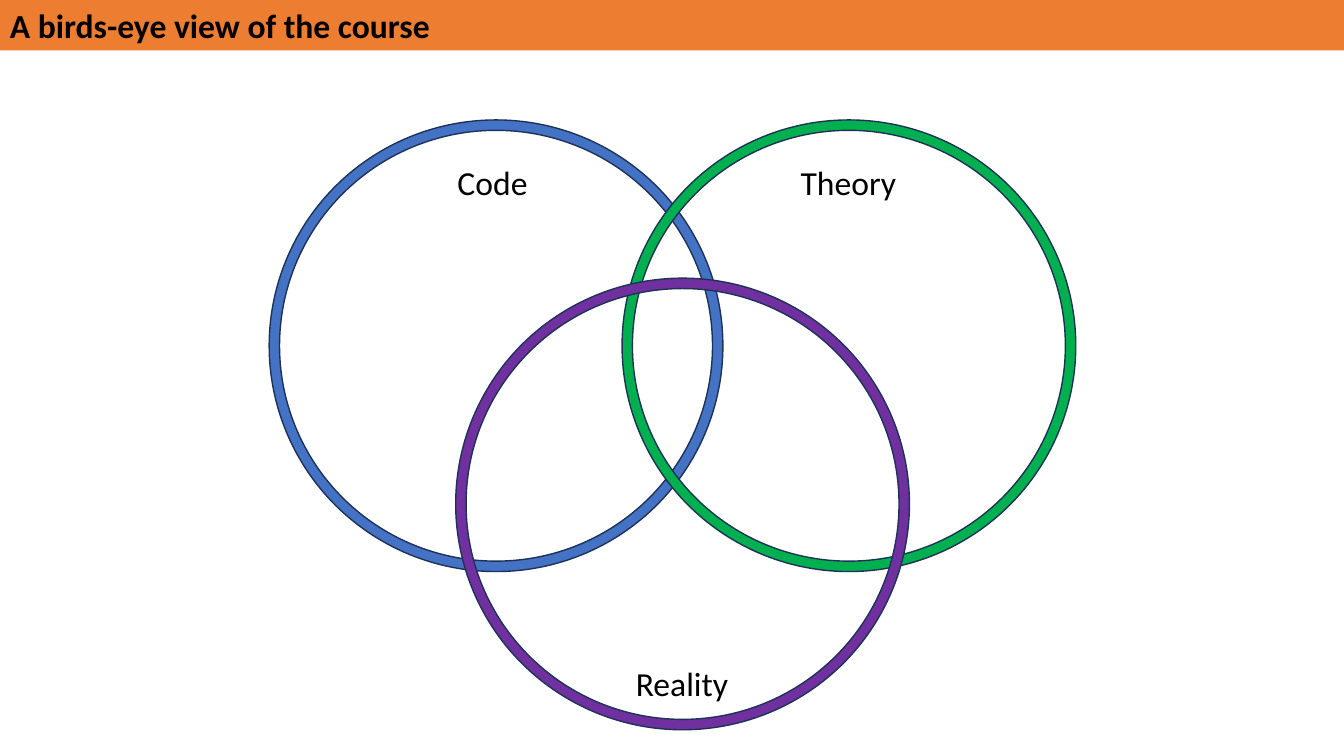
"""Build a slide with three overlapping rings under a title bar."""
import pptx
import pptx.dml.color
import pptx.enum.shapes
import pptx.enum.text
import pptx.util

SLIDE_SIZE = (13.33, 7.5)
TITLE = "A birds-eye view of the course"
BAR_HEIGHT = 0.5
RING_SIZE = (4.5, 4.48)
RING_THICKNESS = 0.023
LABEL_SIZE = (1.93, 0.41)
RINGS = [
    {"label": "Code", "color": "4472C4", "at": (2.67, 1.19), "label_at": (3.92, 1.56)},
    {"label": "Theory", "color": "00B050", "at": (6.17, 1.19), "label_at": (7.45, 1.56)},
    {"label": "Reality", "color": "7030A0", "at": (4.52, 2.76), "label_at": (5.8, 6.53)},
]
COLORS = {"bar": "ED7D31", "outline": "1E3256", "text": "000000"}
FONT = {"name": "Calibri", "size": pptx.util.Pt(24)}
SHAPE = pptx.enum.shapes.MSO_SHAPE
ALIGN = pptx.enum.text.PP_ALIGN
ANCHOR = pptx.enum.text.MSO_ANCHOR


def rgb(value):
    return pptx.dml.color.RGBColor.from_string(value)


def inches(*lengths):
    return [pptx.util.Inches(length) for length in lengths]


def add_filled(shapes, kind, position, size, color):
    shape = shapes.add_shape(kind, *inches(*position, *size))
    shape.shadow.inherit = False
    shape.fill.solid()
    shape.fill.fore_color.rgb = rgb(color)
    return shape


def write(shape, text, alignment, anchor, bold=False):
    frame = shape.text_frame
    frame.word_wrap = True
    frame.auto_size = pptx.enum.text.MSO_AUTO_SIZE.SHAPE_TO_FIT_TEXT
    frame.vertical_anchor = anchor
    paragraph = frame.paragraphs[0]
    paragraph.alignment = alignment
    run = paragraph.add_run()
    run.text = text
    for name, value in {**FONT, "bold": bold}.items():
        setattr(run.font, name, value)
    run.font.color.rgb = rgb(COLORS["text"])


def add_ring(shapes, ring):
    shape = add_filled(shapes, SHAPE.DONUT, ring["at"], RING_SIZE, ring["color"])
    shape.adjustments[0] = RING_THICKNESS
    shape.line.color.rgb = rgb(COLORS["outline"])
    shape.line.width = pptx.util.Pt(1)


def main():
    presentation = pptx.Presentation()
    presentation.slide_width, presentation.slide_height = inches(*SLIDE_SIZE)
    slide = presentation.slides.add_slide(presentation.slide_layouts[6])
    diagram = slide.shapes.add_group_shape()
    for ring in RINGS:
        add_ring(diagram.shapes, ring)
    for ring in RINGS:
        label = diagram.shapes.add_textbox(*inches(*ring["label_at"], *LABEL_SIZE))
        write(label, ring["label"], ALIGN.CENTER, ANCHOR.TOP)
    bar_size = (SLIDE_SIZE[0], BAR_HEIGHT)
    bar = add_filled(slide.shapes, SHAPE.RECTANGLE, (0, 0), bar_size, COLORS["bar"])
    bar.line.fill.background()
    write(bar, TITLE, ALIGN.LEFT, ANCHOR.MIDDLE, bold=True)
    presentation.save("out.pptx")


if __name__ == "__main__":
    main()
